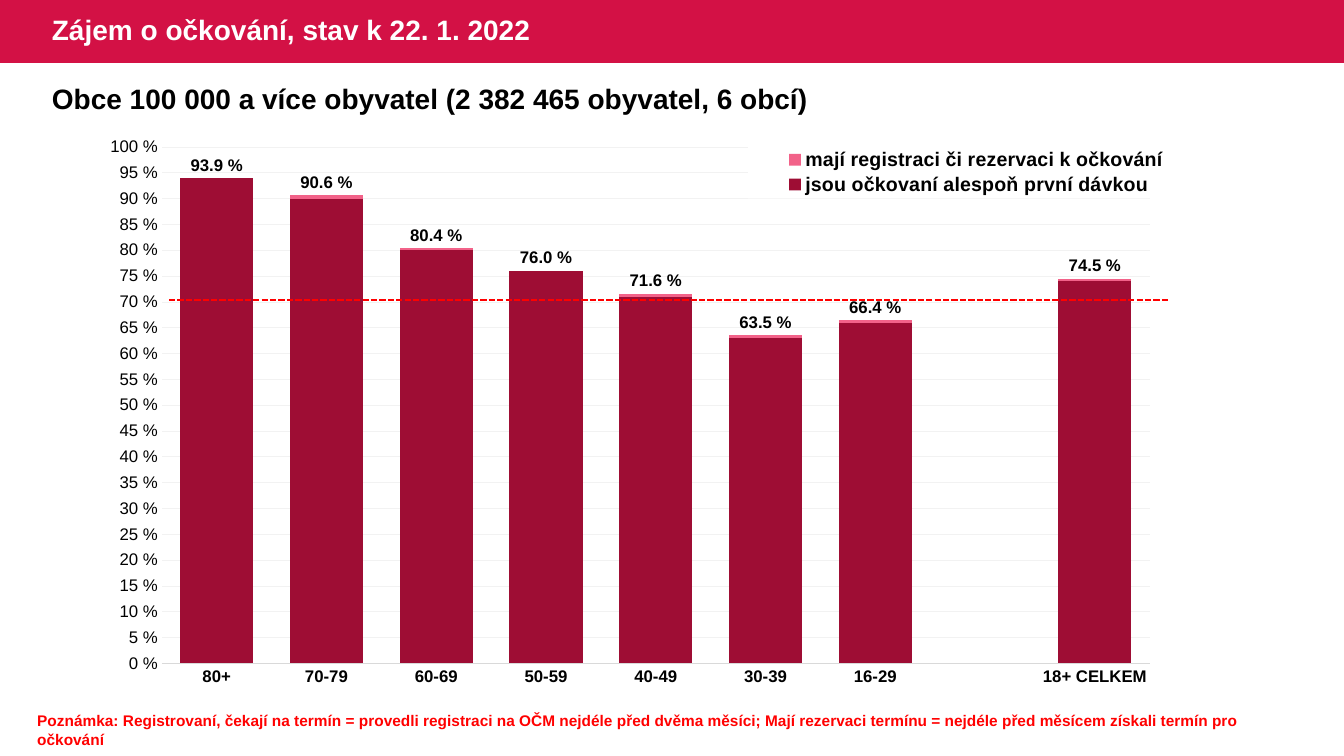
from lxml import etree
from pptx import Presentation
from pptx.chart.data import CategoryChartData
from pptx.dml.color import RGBColor
from pptx.enum.chart import XL_CHART_TYPE, XL_LABEL_POSITION, XL_LEGEND_POSITION, XL_TICK_MARK
from pptx.enum.dml import MSO_LINE
from pptx.enum.shapes import MSO_CONNECTOR, MSO_SHAPE
from pptx.enum.text import MSO_ANCHOR
from pptx.oxml import parse_xml
from pptx.oxml.ns import nsdecls, qn
from pptx.util import Pt

PX = 9525
FONT = "Arial"

COLUMN_CLUSTERED = XL_CHART_TYPE.COLUMN_CLUSTERED
OUTSIDE_END = XL_LABEL_POSITION.OUTSIDE_END
LEGEND_TOP = XL_LEGEND_POSITION.TOP
NO_TICK = XL_TICK_MARK.NONE
SHORT_DASH = MSO_LINE.SQUARE_DOT
STRAIGHT = MSO_CONNECTOR.STRAIGHT
RECTANGLE = MSO_SHAPE.RECTANGLE
TOP = MSO_ANCHOR.TOP
MIDDLE = MSO_ANCHOR.MIDDLE

CRIMSON = RGBColor(0xD3, 0x11, 0x45)
PINK = RGBColor(0xF2, 0x62, 0x89)
DARK_RED = RGBColor(0x9E, 0x0D, 0x34)
RED = RGBColor(0xFF, 0x00, 0x00)
BLACK = RGBColor(0x00, 0x00, 0x00)
WHITE = RGBColor(0xFF, 0xFF, 0xFF)
AXIS_GRAY = RGBColor(0xD9, 0xD9, 0xD9)
GRID_GRAY = RGBColor(0xF2, 0xF2, 0xF2)

CHART_BOX = (105, 122, 1061, 550)
PLOT_BOX = (48, 18, 942, 492)
LEGEND_BOX = (607, 17, 435, 50)

AGE_GROUPS = ["80+", "70-79", "60-69", "50-59", "40-49", "30-39", "16-29", "", "18+ CELKEM"]
SERIES = [
    ("mají registraci či rezervaci k očkování", PINK,
     [93.9, 90.6, 80.4, 76, 71.6, 63.5, 66.4, None, 74.5]),
    ("jsou očkovaní alespoň první dávkou", DARK_RED,
     [94, 90, 80, 76, 71, 63, 66, None, 74]),
]


def scaled(*lengths):
    return [length * PX for length in lengths]


def set_font(font, size, color=BLACK, bold=True):
    font.name = FONT
    font.size = Pt(size)
    font.bold = bold
    font.color.rgb = color


def add_text(slide, box, text, size, color, anchor=TOP, line_spacing=1.0):
    text_frame = slide.shapes.add_textbox(*scaled(*box)).text_frame
    text_frame.word_wrap = True
    text_frame.vertical_anchor = anchor
    paragraph = text_frame.paragraphs[0]
    paragraph.text = text
    paragraph.line_spacing = line_spacing
    set_font(paragraph.font, size, color)


def add_band(slide, box, color):
    shape = slide.shapes.add_shape(RECTANGLE, *scaled(*box))
    shape.shadow.inherit = False
    shape.fill.solid()
    shape.fill.fore_color.rgb = color
    shape.line.fill.background()


def add_dashed_line(slide, ends, color):
    connector = slide.shapes.add_connector(STRAIGHT, *scaled(*ends))
    connector.line.color.rgb = color
    connector.line.width = Pt(1.5)
    connector.line.dash_style = SHORT_DASH
    etree.SubElement(connector._element.spPr, qn("a:effectLst"))


def place(element, box, index, target=""):
    for previous in element.findall(qn("c:layout")):
        element.remove(previous)
    _, _, chart_width, chart_height = CHART_BOX
    left, top, width, height = box
    element.insert(index, parse_xml(
        f'<c:layout {nsdecls("c")}><c:manualLayout>{target}'
        '<c:xMode val="edge"/><c:yMode val="edge"/>'
        f'<c:x val="{left / chart_width}"/><c:y val="{top / chart_height}"/>'
        f'<c:w val="{width / chart_width}"/><c:h val="{height / chart_height}"/>'
        '</c:manualLayout></c:layout>'))


def style_axes(chart):
    category_axis = chart.category_axis
    category_axis.major_tick_mark = NO_TICK
    category_axis.format.line.color.rgb = AXIS_GRAY
    category_axis.format.line.width = Pt(0.75)
    set_font(category_axis.tick_labels.font, 12)

    value_axis = chart.value_axis
    value_axis.minimum_scale = 0
    value_axis.maximum_scale = 100
    value_axis.major_unit = 5
    value_axis.major_tick_mark = NO_TICK
    value_axis.format.line.fill.background()
    value_axis.major_gridlines.format.line.color.rgb = GRID_GRAY
    value_axis.major_gridlines.format.line.width = Pt(0.5)
    value_axis.tick_labels.number_format = '0" %"'
    value_axis.tick_labels.number_format_is_linked = False
    set_font(value_axis.tick_labels.font, 12, bold=False)


def style_legend(chart):
    chart.has_legend = True
    legend = chart.legend
    legend.position = LEGEND_TOP
    legend.include_in_layout = False
    set_font(legend.font, 14)
    place(legend._element, LEGEND_BOX, 1)
    background = parse_xml(
        f'<c:spPr {nsdecls("c", "a")}><a:solidFill><a:srgbClr val="{WHITE}"/>'
        '</a:solidFill><a:ln><a:noFill/></a:ln></c:spPr>')
    legend._element.find(qn("c:txPr")).addprevious(background)


def style_labels(series):
    labels = series.data_labels
    labels.show_value = True
    labels.number_format = '0.0" %"'
    labels.number_format_is_linked = False
    labels.position = OUTSIDE_END
    set_font(labels.font, 12)


def add_column_chart(slide):
    chart_data = CategoryChartData()
    chart_data.categories = AGE_GROUPS
    for name, _, values in SERIES:
        chart_data.add_series(name, values)
    chart = slide.shapes.add_chart(COLUMN_CLUSTERED, *scaled(*CHART_BOX), chart_data).chart
    chart.has_title = False
    set_font(chart.font, 10, bold=False)

    plot = chart.plots[0]
    plot.vary_by_categories = False
    plot.gap_width = 50
    plot.overlap = 100
    for series, (_, color, _) in zip(plot.series, SERIES):
        series.format.fill.solid()
        series.format.fill.fore_color.rgb = color
    style_labels(plot.series[0])
    style_axes(chart)
    style_legend(chart)
    place(chart._chartSpace.chart.plotArea, PLOT_BOX, 0, '<c:layoutTarget val="inner"/>')


def main():
    presentation = Presentation()
    presentation.slide_width, presentation.slide_height = scaled(1280, 720)
    slide = presentation.slides.add_slide(presentation.slide_layouts[6])

    add_band(slide, (0, 0, 1280, 60), CRIMSON)
    add_text(slide, (40, 0, 566, 60), "Zájem o očkování, stav k 22. 1. 2022",
             20, WHITE, MIDDLE, 0.9)
    add_text(slide, (40, 73, 1189, 42),
             "Obce 100 000 a více obyvatel (2 382 465 obyvatel, 6 obcí)", 20, BLACK)
    add_column_chart(slide)
    add_dashed_line(slide, (161, 286, 1113, 286), RED)
    add_text(slide, (26, 673, 1230, 28),
             "Poznámka: Registrovaní, čekají na termín = provedli registraci na OČM nejdéle před "
             "dvěma měsíci; Mají rezervaci termínu = nejdéle před měsícem získali termín pro očkování",
             11, RED)
    presentation.save("out.pptx")


if __name__ == "__main__":
    main()
